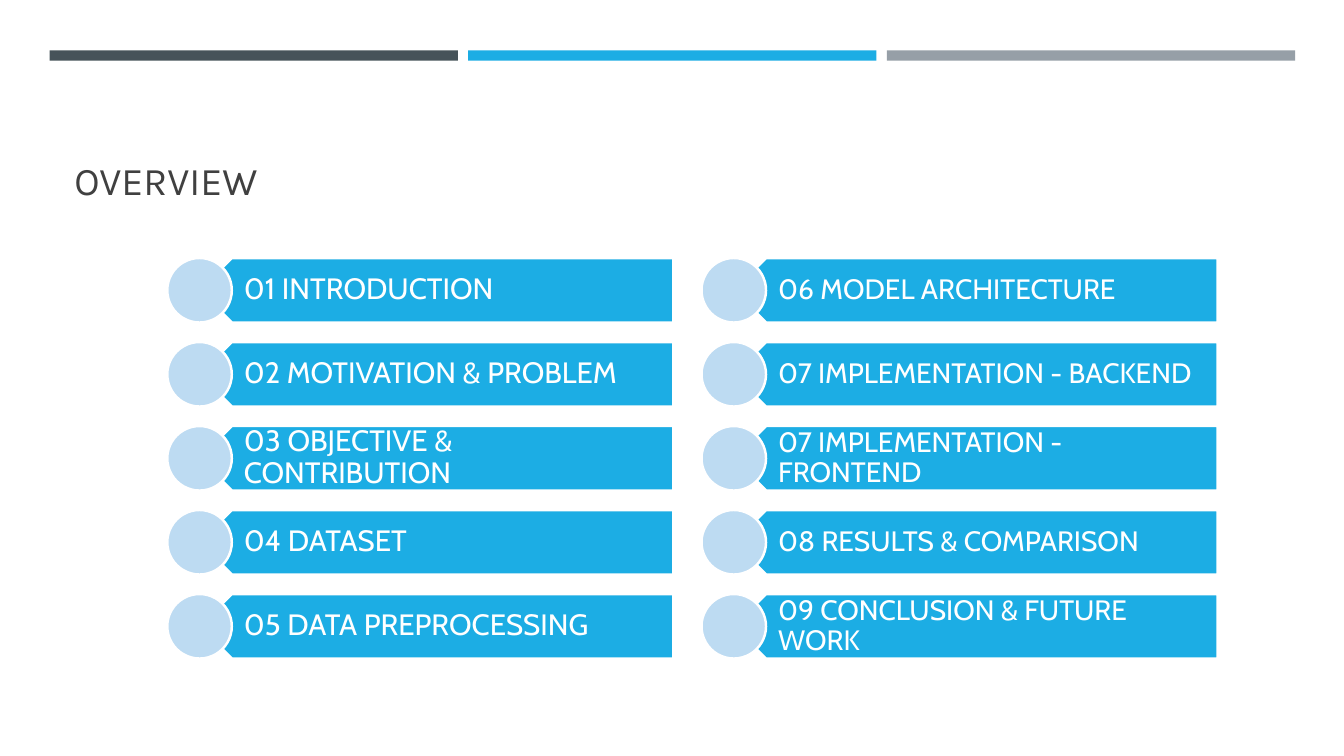
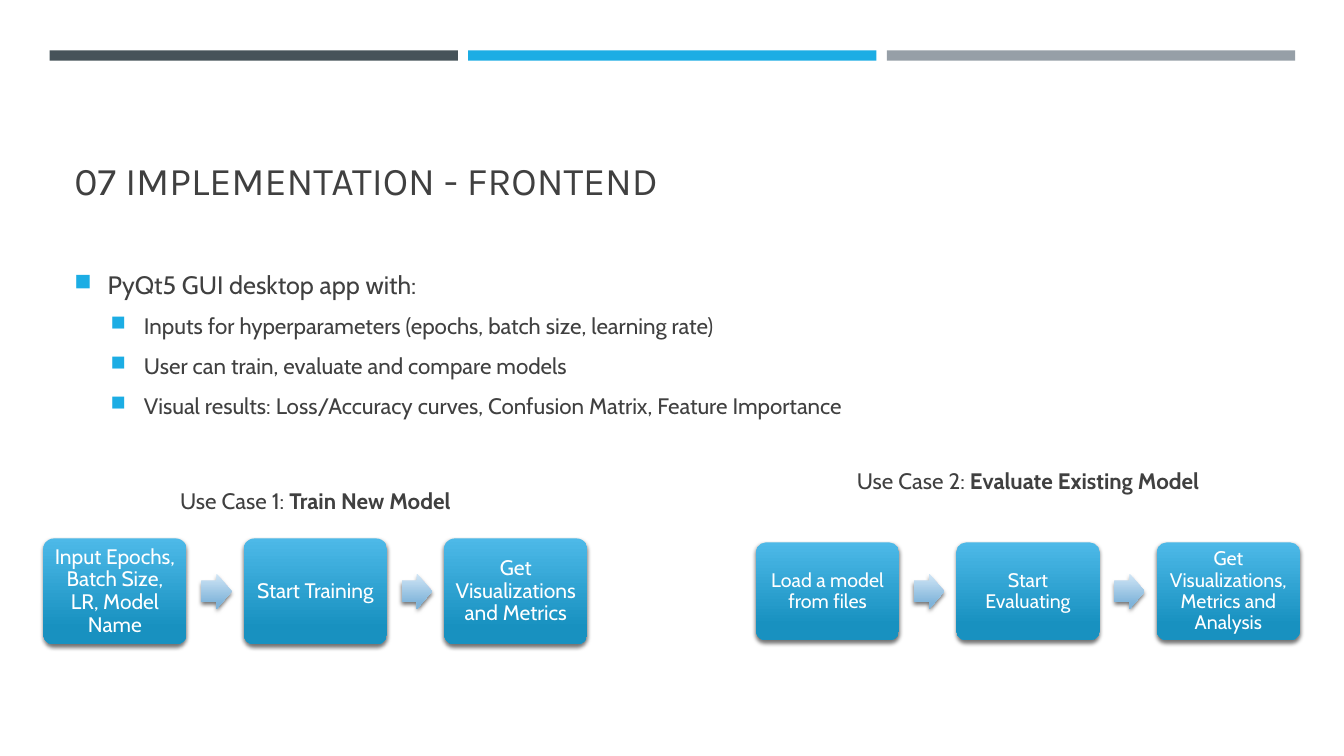
import dataclasses

import lxml.etree
import pptx
import pptx.dml.color
import pptx.enum.shapes
import pptx.enum.text
import pptx.oxml
import pptx.oxml.ns
import pptx.util

SHAPE = pptx.enum.shapes.MSO_SHAPE
ANCHOR = pptx.enum.text.MSO_ANCHOR
ALIGN = pptx.enum.text.PP_ALIGN
qn = pptx.oxml.ns.qn
COLS, ROWS = 160, 90
CELL = pptx.util.Pt(6)


@dataclasses.dataclass(frozen=True)
class Theme:
    heading_font: str = "Karla"
    body_font: str = "Cabin"
    ink: str = "404040"
    white: str = "FFFFFF"
    accent: str = "1CADE4"
    dot: str = "BDDBF2"
    bands: tuple = ("465359", "1CADE4", "969FA7")
    step: tuple = ("4DB9E8", "1891C0")
    arrow: tuple = ("D1E6F6", "80B4DA")
    title_size: int = 28
    lead_size: int = 18
    text_size: int = 16
    outline: float = 1.75


T = Theme()
MARGIN, CONTENT_W, CONTENT_TOP = 7.68, 144.72, 30.72


def rgb(color):
    return pptx.dml.color.RGBColor.from_string(color)


def grid(*cells):
    return [round(c * CELL) for c in cells]


def write(p, text, size=T.text_size, color=T.ink, font=T.body_font, bold=False,
          align=None, spacing=None, before=None, after=None):
    r = p.add_run()
    r.text = text
    r.font.size = pptx.util.Pt(size)
    r.font.name = font
    r.font.bold = bold
    r.font.color.rgb = rgb(color)
    if align is not None:
        p.alignment = align
    if spacing is not None:
        p.line_spacing = spacing
    if before is not None:
        p.space_before = pptx.util.Pt(before)
    if after is not None:
        p.space_after = pptx.util.Pt(after)


def frame(sp, anchor=ANCHOR.MIDDLE, insets=None):
    tf = sp.text_frame
    tf.word_wrap = True
    tf.vertical_anchor = anchor
    if insets:
        (tf.margin_left, tf.margin_top,
         tf.margin_right, tf.margin_bottom) = map(pptx.util.Inches, insets)
    return tf


def text_box(s, x, y, w, h, **options):
    return frame(s.shapes.add_textbox(*grid(x, y, w, h)), **options)


def block(s, kind, x, y, w, h, fill, line=None):
    sp = s.shapes.add_shape(kind, *grid(x, y, w, h))
    sp.shadow.inherit = False
    if isinstance(fill, tuple):
        sp.fill.gradient()
        sp.fill.gradient_angle = 270
        for stop, color, position in zip(sp.fill.gradient_stops, fill, (0, 0.84)):
            stop.color.rgb = rgb(color)
            stop.position = position
    else:
        sp.fill.solid()
        sp.fill.fore_color.rgb = rgb(fill)
    if line:
        sp.line.color.rgb = rgb(line)
        sp.line.width = pptx.util.Pt(T.outline)
    else:
        sp.line.fill.background()
    return sp


def raised(s, kind, x, y, w, h, fill, adjustments):
    sp = block(s, kind, x, y, w, h, fill)
    for i, value in enumerate(adjustments):
        sp.adjustments[i] = value
    effects = sp._element.spPr.find(qn("a:effectLst"))
    shadow = lxml.etree.SubElement(
        effects, qn("a:outerShdw"), blurRad=str(pptx.util.Pt(3)),
        dist=str(pptx.util.Pt(2)), dir="5400000", rotWithShape="0")
    color = lxml.etree.SubElement(shadow, qn("a:srgbClr"), val="000000")
    lxml.etree.SubElement(color, qn("a:alpha"), val="55000")
    return sp


def bullet(p, indent):
    hang = pptx.util.Inches(0.33)
    pPr = p._p.get_or_add_pPr()
    pPr.set("marL", str(pptx.util.Inches(indent)))
    pPr.set("indent", str(-hang))
    color = lxml.etree.SubElement(pPr, qn("a:buClr"))
    lxml.etree.SubElement(color, qn("a:srgbClr"), val=T.accent)
    lxml.etree.SubElement(pPr, qn("a:buSzPct"), val="92000")
    lxml.etree.SubElement(pPr, qn("a:buChar"), char="■")


def base_slide(prs, title):
    s = prs.slides.add_slide(prs.slide_layouts[6])
    for i, color in enumerate(T.bands):
        block(s, SHAPE.RECTANGLE, 5.9 + i * 49.84, 6, 48.6, 1.24, color)
    tf = text_box(s, MARGIN, 9.24, CONTENT_W, 15.6, anchor=ANCHOR.BOTTOM)
    write(tf.paragraphs[0], title, size=T.title_size, font=T.heading_font)
    return s


def agenda_column(s, x, bar_w, size, items):
    dot, pitch = 7.68, 10
    for i, item in enumerate(items):
        y = CONTENT_TOP + i * pitch
        bar = block(s, SHAPE.PENTAGON, x + dot / 2, y, bar_w, dot, T.accent, T.white)
        bar.rotation = 180
        tf = text_box(s, x + dot * 0.75, y, bar_w - dot / 4, dot,
                      insets=(0.28, 0.08, 0.16, 0.08))
        write(tf.paragraphs[0], item, size=size, color=T.white, spacing=0.9)
        block(s, SHAPE.OVAL, x, y, dot, dot, T.dot, T.white)


def bullets(s, lead, points):
    tf = text_box(s, MARGIN, CONTENT_TOP, CONTENT_W, 20.16)
    p = tf.paragraphs[0]
    write(p, lead, size=T.lead_size, spacing=1.1, before=3.6, after=6)
    bullet(p, 0.33)
    for point in points:
        p = tf.add_paragraph()
        write(p, point, before=3.2, after=6)
        bullet(p, 0.69)


def use_case(s, x, caption_y, step_h, size, label, name, steps):
    step_w, pitch, middle = 17.04, 23.86, 70.4
    arrow_w, arrow_h = 3.6, 4.2
    width = step_w + pitch * (len(steps) - 1)
    p = text_box(s, x, caption_y, width, 4.44, anchor=ANCHOR.TOP).paragraphs[0]
    write(p, label, align=ALIGN.CENTER)
    write(p, name, bold=True)
    for i, step in enumerate(steps):
        left = x + i * pitch
        if i:
            raised(s, SHAPE.RIGHT_ARROW, left - 5.04, middle - arrow_h / 2,
                   arrow_w, arrow_h, T.arrow, (0.6, 0.5))
        sp = raised(s, SHAPE.ROUNDED_RECTANGLE, left, middle - step_h / 2,
                    step_w, step_h, T.step, (0.1,))
        tf = frame(sp, insets=(0.06,) * 4)
        write(tf.paragraphs[0], step, size=size, color=T.white,
              align=ALIGN.CENTER, spacing=0.9)


def overview(prs):
    s = base_slide(prs, "OVERVIEW")
    agenda_column(s, 19.92, 56.4, 21, [
        "01 INTRODUCTION",
        "02 MOTIVATION & PROBLEM",
        "03 OBJECTIVE & CONTRIBUTION",
        "04 DATASET",
        "05 DATA PREPROCESSING",
    ])
    agenda_column(s, 83.52, 57.6, 20, [
        "06 MODEL ARCHITECTURE",
        "07 IMPLEMENTATION - BACKEND",
        "07 IMPLEMENTATION - FRONTEND",
        "08 RESULTS & COMPARISON",
        "09 CONCLUSION & FUTURE WORK",
    ])


def frontend(prs):
    s = base_slide(prs, "07 IMPLEMENTATION - FRONTEND")
    bullets(s, "PyQt5 GUI desktop app with:", [
        "Inputs for hyperparameters (epochs, batch size, learning rate)",
        "User can train, evaluate and compare models",
        "Visual results: Loss/Accuracy curves, Confusion Matrix, Feature Importance",
    ])
    use_case(s, 5.16, 57.36, 12.6, 15, "Use Case 1: ", "Train New Model", [
        "Input Epochs, Batch Size, LR, Model Name",
        "Start Training",
        "Get Visualizations and Metrics",
    ])
    use_case(s, 90, 55.08, 11.64, 14, "Use Case 2: ", "Evaluate Existing Model", [
        "Load a model from files",
        "Start Evaluating",
        "Get Visualizations, Metrics and Analysis",
    ])


def main():
    prs = pptx.Presentation()
    prs.slide_width, prs.slide_height = grid(COLS, ROWS)
    overview(prs)
    frontend(prs)
    prs.save("out.pptx")


if __name__ == "__main__":
    main()
